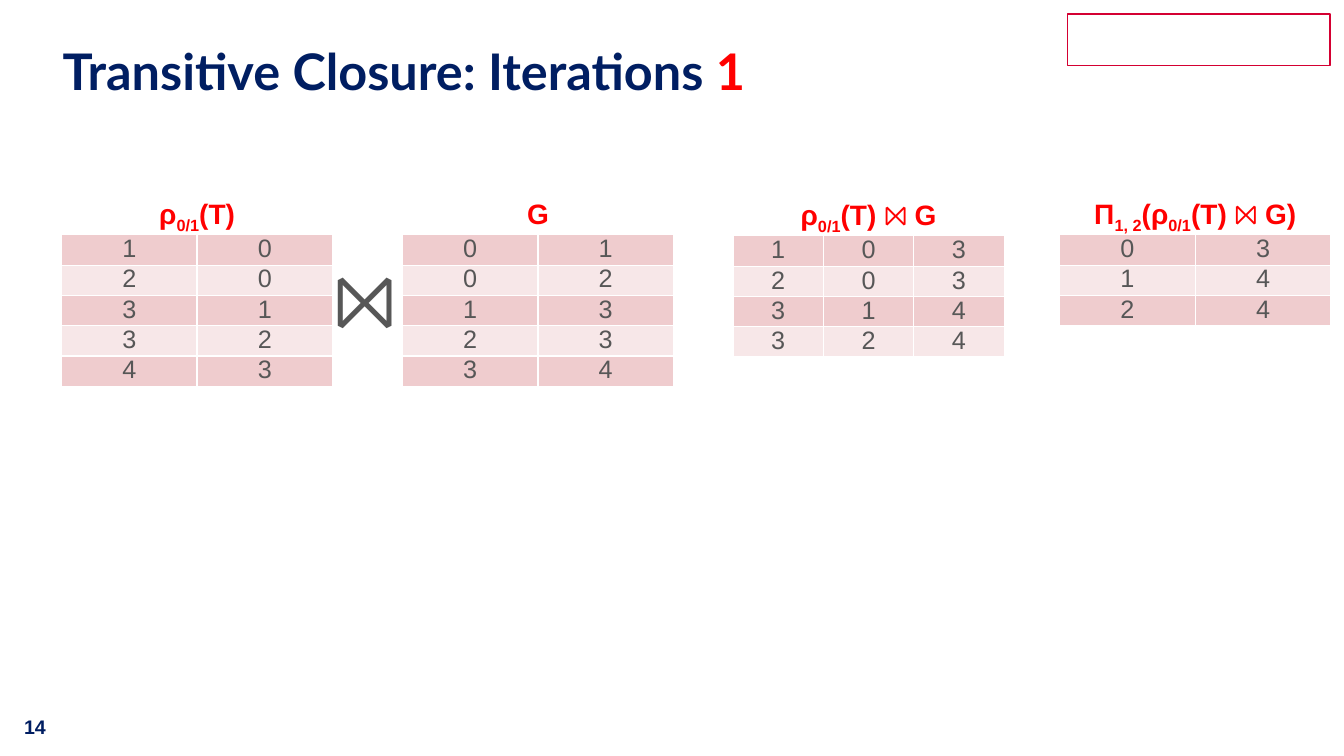
from lxml import etree
from pptx import Presentation
from pptx import util as u
from pptx.dml.color import RGBColor
from pptx.enum import shapes, text
from pptx.oxml.ns import qn

SCALE = 9144  # 100 px to the inch


def px(n):
    return u.Emu(round(n * SCALE))


def color(value):
    return RGBColor.from_string(value)


class Deck:
    NAVY, RED, GREY, CRIMSON = "001E62", "FF0000", "575757", "D40032"
    BANDS = ("EFCCCE", "F7E7E8")
    GRID = "FFFFFF"

    def __init__(self, width, height):
        self.prs = Presentation()
        self.prs.slide_width, self.prs.slide_height = px(width), px(height)
        self.slide = self.prs.slides.add_slide(self.prs.slide_layouts[6])

    def run(self, paragraph, words, size, ink, bold=False, font="Arial", sub=False):
        run = paragraph.add_run()
        run.text = words
        run.font.size, run.font.name, run.font.bold = u.Pt(size), font, bold
        run.font.color.rgb = color(ink)
        if sub:
            run.font._element.set("baseline", "-25000")

    def text(self, box, centred=False, inset=True):
        """Add a wrapping text box and return its paragraph."""
        frame = self.slide.shapes.add_textbox(*map(px, box)).text_frame
        frame.word_wrap = True
        if not inset:
            frame.margin_left = frame.margin_right = 0
            frame.margin_top = frame.margin_bottom = 0
        paragraph = frame.paragraphs[0]
        if centred:
            paragraph.alignment = text.PP_ALIGN.CENTER
        return paragraph

    def heading(self, box, parts):
        """Parts alternate between normal text and subscript."""
        paragraph = self.text(box, centred=True)
        for i, part in enumerate(parts):
            self.run(paragraph, part, 20, self.RED, bold=True, sub=i % 2 == 1)

    def cell_borders(self, cell):
        props = cell._tc.get_or_add_tcPr()
        for side in ("a:lnL", "a:lnR", "a:lnT", "a:lnB"):
            line = etree.SubElement(props, qn(side), w=str(u.Pt(1)))
            fill = etree.SubElement(line, qn("a:solidFill"))
            etree.SubElement(fill, qn("a:srgbClr"), val=self.GRID)

    def relation(self, left, top, width, tuples):
        """Add a banded table, one row for each tuple of digits."""
        height = 30 * len(tuples)
        frame = self.slide.shapes.add_table(
            len(tuples), len(tuples[0]), *map(px, (left, top, width, height)))
        for r, digits in enumerate(tuples):
            frame.table.rows[r].height = px(24)
            for c, digit in enumerate(digits):
                cell = frame.table.cell(r, c)
                cell.margin_left = cell.margin_right = px(10)
                cell.margin_top = cell.margin_bottom = 0
                self.cell_borders(cell)
                cell.fill.solid()
                cell.fill.fore_color.rgb = color(self.BANDS[r % 2])
                paragraph = cell.text_frame.paragraphs[0]
                paragraph.alignment = text.PP_ALIGN.CENTER
                self.run(paragraph, digit, 18, self.GREY)
        frame.height = px(height)

    def outline(self, box):
        shape = self.slide.shapes.add_shape(shapes.MSO_SHAPE.RECTANGLE, *map(px, box))
        shape.shadow.inherit = False
        shape.fill.background()
        shape.line.color.rgb = color(self.CRIMSON)
        shape.line.width = u.Pt(1)


def main():
    deck = Deck(1333, 750)

    # Title and page number
    title = deck.text((62, 47, 1208, 89), inset=False)
    title.line_spacing = 0.9
    deck.run(title, "Transitive Closure: Iterations ", 36, deck.NAVY, True, "Lato")
    deck.run(title, "1", 36, deck.RED, True, "Lato")
    page = deck.text((14, 704, 66, 34))
    deck.run(page, "14", 14, deck.NAVY, True)

    # Relations, each with its heading just above
    relations = [
        (61, 233, ["ρ", "0/1", "(T)"], ["10", "20", "31", "32", "43"]),
        (399, 233, ["G"], ["01", "02", "13", "23", "34"]),
        (727, 234, ["ρ", "0/1", "(T) ⨝ G"], ["103", "203", "314", "324"]),
        (1051, 233, ["Π", "1, 2", "(ρ", "0/1", "(T) ⨝ G)"], ["03", "14", "24"]),
    ]
    width = 269
    for left, top, name, tuples in relations:
        deck.relation(left, top, width, tuples)
        deck.heading((left, top - 43, width, 44), name)

    # Join operator between the first two relations
    join = deck.text((307, 245, 110, 101), centred=True)
    deck.run(join, "⨝", 54, deck.GREY)

    # Empty frame in the top right corner
    deck.outline((1059, 14, 260, 51))

    deck.prs.save("out.pptx")


if __name__ == "__main__":
    main()
